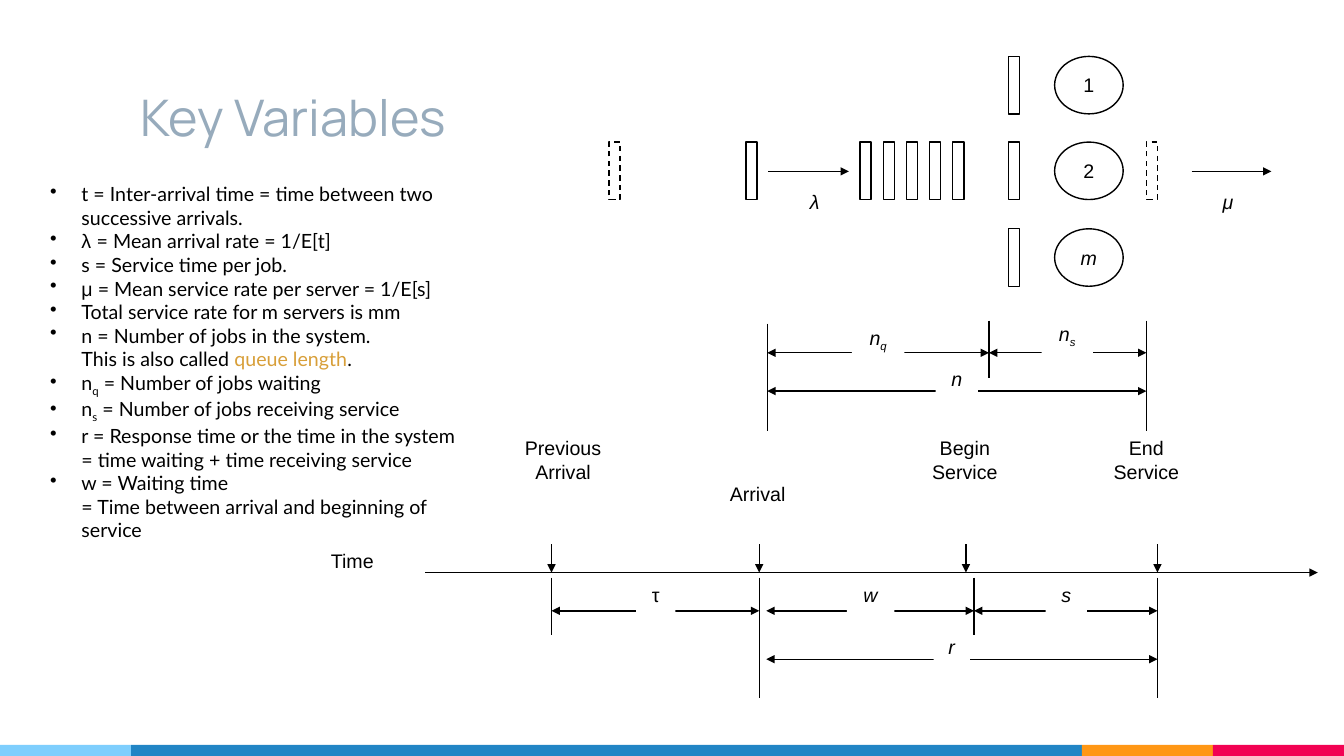
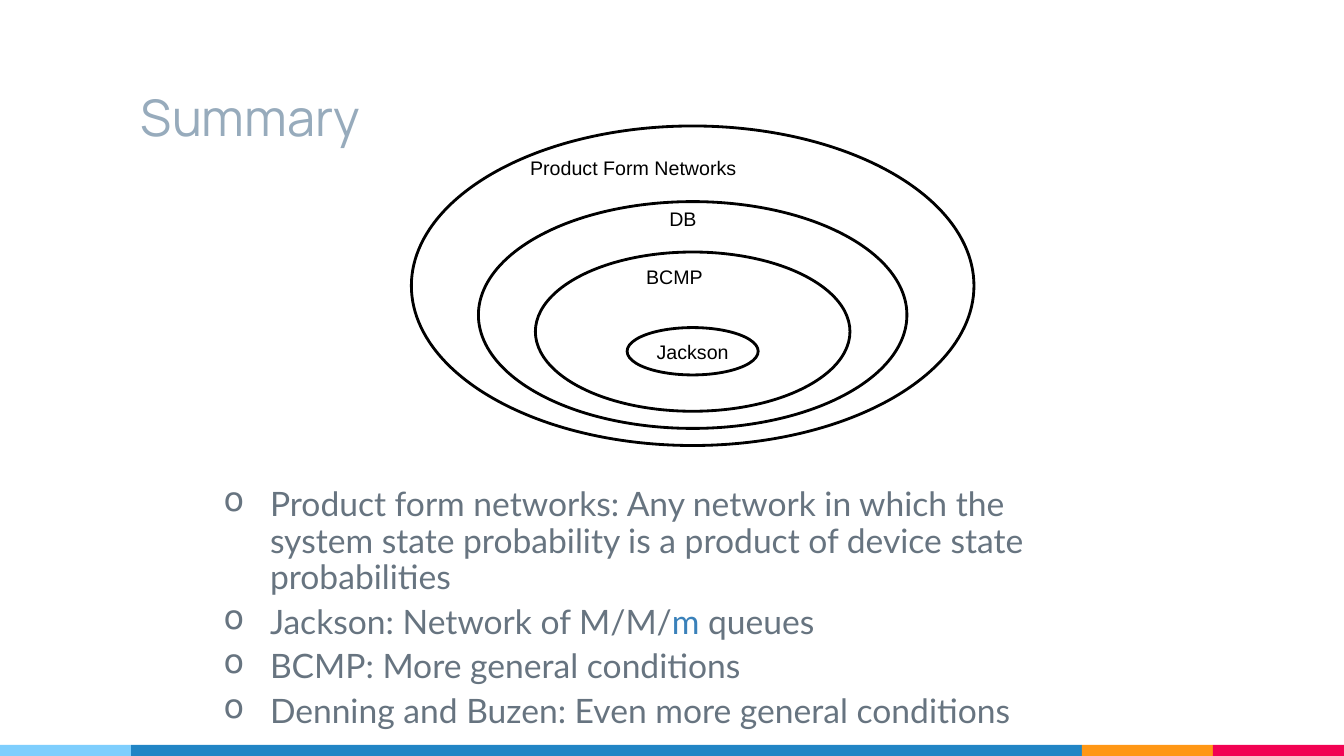
from dataclasses import dataclass

from lxml import etree
from pptx import Presentation
from pptx import util as u
from pptx.dml.color import RGBColor
from pptx.enum import dml, shapes, text
from pptx.oxml.ns import qn


@dataclass(frozen=True)
class Theme:
    ink: str = "000000"
    paper: str = "FFFFFF"
    heading: str = "97ABBC"
    body: str = "677480"
    gold: str = "D89F39"
    blue: str = "3A81BA"
    # Footer band: colour and width of each segment, left to right
    band: tuple = (("7ECEFD", 1.3), ("2185C5", 9.43), ("FF9715", 1.3), ("F20253", 1.3))


THEME = Theme()
TITLE = {"name": "Manrope", "size": u.Pt(36), "color": THEME.heading}
LABEL = {"name": "Arial", "size": u.Pt(14), "color": THEME.ink}
SYMBOL = {**LABEL, "italic": True}
NOTES = {"name": "Lato", "size": u.Pt(14), "color": THEME.ink}
BODY = {"name": "Lato", "size": u.Pt(24), "color": THEME.body}
SUB = {"baseline": "-25000"}
GREEK = {"name": "Arial"}

ALIGN = text.PP_ALIGN
ANCHOR = text.MSO_ANCHOR
RECT = shapes.MSO_SHAPE.RECTANGLE
OVAL = shapes.MSO_SHAPE.OVAL


# Text helpers
def format_run(run, style):
    for key, value in style.items():
        if key == "color":
            run.font.color.rgb = RGBColor.from_string(value)
        elif key == "baseline":
            run.font._element.set(key, value)
        else:
            setattr(run.font, key, value)


def write(paragraph, content, style):
    """Content is a string or a list of strings and (string, overrides) pairs."""
    for piece in [content] if isinstance(content, str) else content:
        words, extra = (piece, {}) if isinstance(piece, str) else piece
        for number, line in enumerate(words.split("\n")):
            if number:
                paragraph.add_line_break()
            if line:
                run = paragraph.add_run()
                run.text = line
                format_run(run, {**style, **extra})


def set_frame(frame, **values):
    for key, value in values.items():
        setattr(frame, key, value)


def add_bullet(paragraph, char, color, margin, indent):
    props = paragraph._p.get_or_add_pPr()
    props.set("marL", str(u.Inches(margin)))
    props.set("indent", str(u.Inches(indent)))
    tint = etree.SubElement(props, qn("a:buClr"))
    etree.SubElement(tint, qn("a:srgbClr")).set("val", color)
    etree.SubElement(props, qn("a:buChar")).set("char", char)


class Panel:
    """A region of a slide; everything is placed from its top left corner."""

    def __init__(self, slide, left, top):
        self.shapes, self.left, self.top = slide.shapes, left, top

    def point(self, x, y):
        return u.Inches(self.left + x), u.Inches(self.top + y)

    def shape(self, kind, x, y, width, height, fill=None, line=None, weight=1, dashed=False):
        item = self.shapes.add_shape(kind, *self.point(x, y), u.Inches(width), u.Inches(height))
        item.shadow.inherit = False
        if fill:
            item.fill.solid()
            item.fill.fore_color.rgb = RGBColor.from_string(fill)
        else:
            item.fill.background()
        if line:
            item.line.color.rgb = RGBColor.from_string(line)
            item.line.width = u.Pt(weight)
            if dashed:
                item.line.dash_style = dml.MSO_LINE.DASH
        else:
            item.line.fill.background()
        return item

    def textbox(self, x, y, width, height, **frame_values):
        box = self.shapes.add_textbox(*self.point(x, y), u.Inches(width), u.Inches(height))
        set_frame(box.text_frame, **frame_values)
        return box.text_frame

    def label(self, x, y, width, content, style=LABEL, height=0.38, align=ALIGN.CENTER, fill=None):
        if fill:
            frame = self.shape(RECT, x, y, width, height, fill).text_frame
        else:
            frame = self.textbox(x, y, width, height)
        set_frame(frame, word_wrap=False, vertical_anchor=ANCHOR.TOP)
        frame.paragraphs[0].alignment = align
        write(frame.paragraphs[0], content, style)

    def caption(self, shape, content, style):
        set_frame(shape.text_frame, word_wrap=False, vertical_anchor=ANCHOR.MIDDLE)
        shape.text_frame.paragraphs[0].alignment = ALIGN.CENTER
        write(shape.text_frame.paragraphs[0], content, style)

    def line(self, x1, y1, x2, y2, arrows=()):
        link = self.shapes.add_connector(
            shapes.MSO_CONNECTOR.STRAIGHT, *self.point(x1, y1), *self.point(x2, y2))
        link.line.color.rgb = RGBColor.from_string(THEME.ink)
        link.line.width = u.Pt(1)
        for end in arrows:
            etree.SubElement(link.line._get_or_add_ln(), qn(f"a:{end}")).set("type", "triangle")
        etree.SubElement(link._element.spPr, qn("a:effectLst"))

    def arrow(self, x1, y1, x2, y2):
        self.line(x1, y1, x2, y2, ("tailEnd",))

    def span(self, x1, x2, y):
        self.line(x1, y, x2, y, ("headEnd", "tailEnd"))

    def bullets(self, frame, items, style, char, margin, indent, gap=0, spacing=None):
        for number, item in enumerate(items):
            paragraph = frame.add_paragraph() if number else frame.paragraphs[0]
            add_bullet(paragraph, char, style["color"], margin, indent)
            paragraph.space_before = u.Pt(gap if number else 0)
            if spacing:
                paragraph.line_spacing = spacing
            write(paragraph, item, style)


# Shared parts: footer band and title
def base_slide(deck, title):
    slide = deck.slides.add_slide(deck.slide_layouts[6])
    band = Panel(slide, 0, 7.39)
    x = 0
    for color, width in THEME.band:
        band.shape(RECT, x, 0, width, 0.11, color)
        x += width
    heading = Panel(slide, 1.3, 0.3).textbox(
        0, 0, 9.42, 1.25, word_wrap=True, vertical_anchor=ANCHOR.BOTTOM,
        margin_top=u.Inches(0.1), margin_bottom=u.Inches(0.1))
    write(heading.paragraphs[0], title, TITLE)
    return slide


# Jobs arriving, waiting, being served and leaving
def queue_diagram(panel):
    ink = {"line": THEME.ink}
    row_tops = (0, 0.85, 1.71)
    middle = row_tops[1]

    def job(x, y=middle, dashed=False):
        panel.shape(RECT, x, y, 0.11, 0.57, dashed=dashed, **ink)

    for top, server, style in zip(row_tops, "12m", (LABEL, LABEL, SYMBOL)):
        job(3.96, top)
        panel.caption(panel.shape(OVAL, 4.42, top, 0.68, 0.57, **ink), server, style)
    for place in range(5):
        job(2.49 + 0.23 * place)
    job(1.36)
    for x in (0, 5.33):
        job(x, dashed=True)
    for start, end, rate, rate_x in ((1.58, 2.38, "λ", 1.83), (5.78, 6.57, "μ", 5.93)):
        panel.arrow(start, 1.14, end, 1.14)
        panel.label(rate_x, 1.27, 0.42, rate, SYMBOL)


# Dimension lines with a label that interrupts each of them
def dimensions(panel, posts, spans):
    for x, top, bottom in posts:
        panel.line(x, top, x, bottom)
    for start, end, y, *_ in spans:
        panel.span(start, end, y)
    for *_, x, top, width, content, style in spans:
        panel.label(x, top, width, content, style, fill=THEME.paper)


def job_counts(panel):
    begin, end = 2.2, 3.76
    dimensions(
        panel,
        posts=((0, 0.03, 1.1), (begin, 0, 0.57), (end, 0, 1.1)),
        spans=(
            (0, begin, 0.32, 0.84, 0, 0.52, ["n", ("q", SUB)], SYMBOL),
            (begin, end, 0.32, 2.72, -0.04, 0.51, ["n", ("s", SUB)], SYMBOL),
            (0, end, 0.7, 1.67, 0.41, 0.42, "n", SYMBOL),
        ))


def timeline(panel):
    axis, below = 1.4, 1.45
    previous, arrival, begin, end = 2.41, 4.47, 6.6, 8.42
    # Axis and event markers
    panel.label(0, 1.12, 0.87, "Time")
    panel.arrow(1.16, axis, 10.01, axis)
    events = (
        (previous, 1.87, 0, 1.31, "Previous\nArrival"),
        (arrival, 3.94, 0.45, 1.03, "Arrival"),
        (6.52, 5.93, 0, 1.16, "Begin\nService"),
        (end, 7.73, 0, 1.16, "End\nService"),
    )
    for marker, x, top, width, event in events:
        panel.arrow(marker, 1.12, marker, axis)
        panel.label(x, top, width, event)
    # Durations
    wait = arrival + 0.07
    dimensions(
        panel,
        posts=((previous, below, 2.02), (arrival, below, 2.64),
               (begin, below, 2.02), (end, below, 2.64)),
        spans=(
            (previous, arrival, 1.78, 3.25, below, 0.39, "τ", LABEL),
            (wait, begin, 1.78, 5.34, below, 0.47, "w", SYMBOL),
            (begin, end, 1.78, 7.31, below, 0.41, "s", SYMBOL),
            (wait, end, 2.26, 6.2, 1.97, 0.36, "r", SYMBOL),
        ))


def definitions(panel):
    items = (
        "t = Inter-arrival time = time between two successive arrivals.",
        [("λ ", GREEK), "= Mean arrival rate = 1/E[t]"],
        "s = Service time per job.",
        [("μ", GREEK), " = Mean service rate per server = 1/E[s]"],
        "Total service rate for m servers is mm",
        ["n = Number of jobs in the system.\nThis is also called ",
         ("queue length", {"color": THEME.gold}), "."],
        ["n", ("q", SUB), " = Number of jobs waiting"],
        ["n", ("s", SUB), " = Number of jobs receiving service"],
        "r = Response time or the time in the system\n= time waiting + time receiving service",
        "w = Waiting time\n= Time between arrival and beginning of service",
    )
    frame = panel.textbox(0, 0, 4.57, 3.64, word_wrap=True)
    panel.bullets(frame, items, NOTES, "•", 0.31, -0.31)


# Nested classes of networks, all centred on one axis
def network_classes(panel):
    full_width = 5.58
    rings = (
        (full_width, 0, 3.17, "Product Form Networks", 1.08, 0.25, 2.26),
        (4.25, 0.75, 2.25, "DB", 2.46, 0.75, 0.48),
        (3.12, 1.25, 1.58, "BCMP", 2.23, 1.33, 0.77),
        (1.3, 2, 0.47, "Jackson", None, None, None),
    )
    for width, top, height, name, x, y, label_width in rings:
        ring = panel.shape(OVAL, (full_width - width) / 2, top, width, height,
                           line=THEME.ink, weight=2)
        if x is None:
            panel.caption(ring, name, LABEL)
        else:
            panel.label(x, y, label_width, name, height=0.34, align=ALIGN.LEFT)


def conclusions(panel):
    items = (
        "Product form networks: Any network in which the system state probability"
        " is a product of device state probabilities",
        ["Jackson: Network of M/M/", ("m", {"color": THEME.blue}), " queues"],
        "BCMP: More general conditions",
        "Denning and Buzen: Even more general conditions",
    )
    frame = panel.textbox(0, 0, 9, 2.26, word_wrap=True, margin_top=u.Inches(0.1))
    panel.bullets(frame, items, BODY, "o", 0.5, -0.46, gap=6, spacing=0.9)


def main():
    deck = Presentation()
    deck.slide_width, deck.slide_height = u.Inches(13.33), u.Inches(7.5)

    variables = base_slide(deck, "Key Variables")
    queue_diagram(Panel(variables, 6.04, 0.56))
    timeline(Panel(variables, 3.06, 4.28))
    job_counts(Panel(variables, 7.61, 3.18))
    definitions(Panel(variables, 0.4, 1.76))

    summary = base_slide(deck, "Summary")
    conclusions(Panel(summary, 2.08, 4.74))
    network_classes(Panel(summary, 4.08, 1.25))

    deck.save("out.pptx")


if __name__ == "__main__":
    main()
